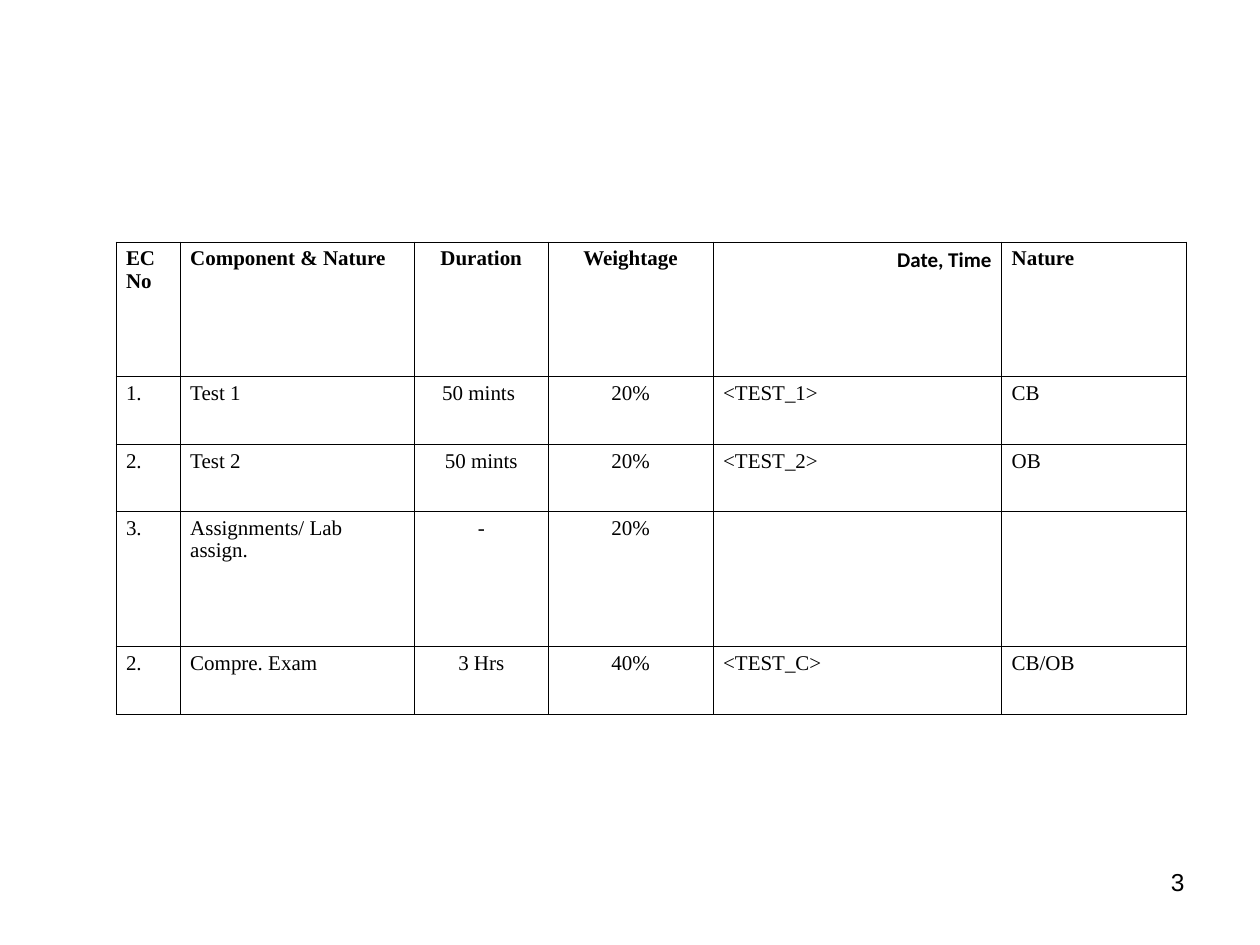
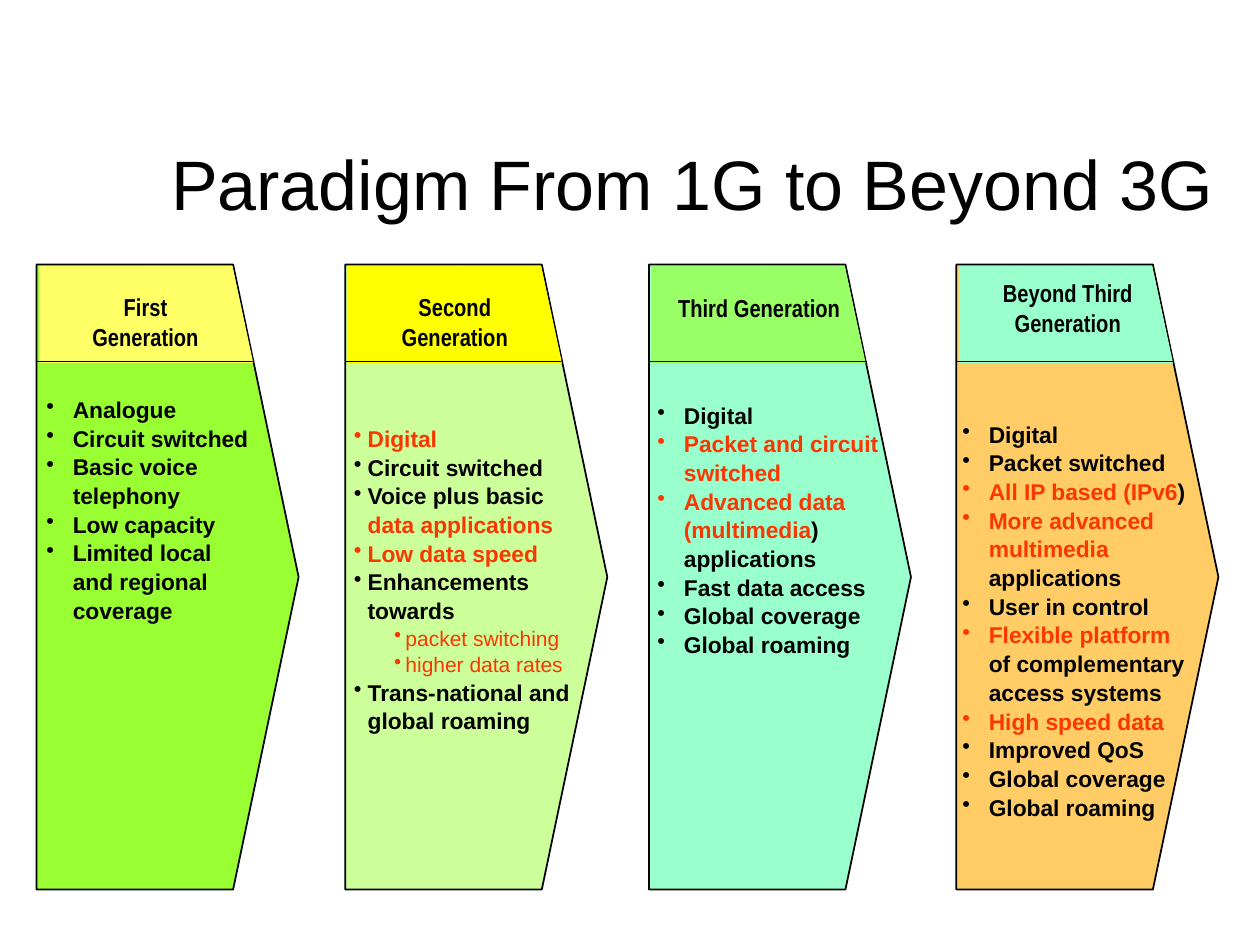
from lxml import etree
from pptx import Presentation
from pptx.dml.color import RGBColor
from pptx.enum.shapes import MSO_CONNECTOR, MSO_SHAPE
from pptx.enum.text import MSO_ANCHOR, PP_ALIGN
from pptx.oxml.ns import qn
from pptx.util import Inches, Pt

LEFT, MID, RIGHT = PP_ALIGN.LEFT, PP_ALIGN.CENTER, PP_ALIGN.RIGHT
TOP, CENTER, BOTTOM = MSO_ANCHOR.TOP, MSO_ANCHOR.MIDDLE, MSO_ANCHOR.BOTTOM
RECT, SLANT = MSO_SHAPE.RECTANGLE, MSO_SHAPE.FLOWCHART_MANUAL_INPUT
STRAIGHT = MSO_CONNECTOR.STRAIGHT

HUES = {
    "black": "000000", "red": "FA3702",
    "lemon": "FFFF66", "yellow": "FFFF00", "lime": "99FF33", "pale": "CCFF99",
    "green": "99FF66", "mint": "99FFCC", "orange": "FFCC66",
}

# Exam table
WIDTHS = [0.51, 1.86, 1.06, 1.31, 2.29, 1.47]
HEIGHTS = [1.07, 0.54, 0.53, 1.07, 0.54]
ALIGNS = [LEFT, LEFT, MID, MID, LEFT, LEFT]
EXAMS = [
    ["EC No", "Component & Nature", "Duration", "Weightage", "Date, Time", "Nature"],
    ["1.", "Test 1", "50 mints ", "20%", "<TEST_1>", "CB"],
    ["2.", "Test 2", "50 mints", "20%", "<TEST_2>", "OB"],
    ["3.", "Assignments/ Lab assign.", "-", "20%", "", ""],
    ["2.", "Compre. Exam", "3 Hrs", "40%", "<TEST_C>", "CB/OB"],
]

# Arrow columns: left edge, head and body hues, head text and its box, list
# and its box, list indent. Boxes are relative to the arrow's top left.
# Text between bars is red; a leading ">" marks a sub-item.
ARROWS = [
    (0.29, "lemon", "lime", "First Generation", (0.15, 0.17, 1.43, 0.34),
     ["Analogue", "Circuit switched", "Basic voice telephony", "Low capacity",
      "Limited local and regional coverage"], (-0.02, 1.02, 1.83, 1.84), 0.21),
    (2.74, "yellow", "pale", "Second Generation", (0.04, 0.17, 1.66, 0.34),
     ["|Digital|", "Circuit switched", "Voice plus basic |data applications|",
      "|Low data speed|", "Enhancements towards", ">|packet switching|",
      ">|higher data rates|", "Trans-national and global roaming"],
     (-0.03, 1.16, 1.92, 2.67), 0.11),
    (5.15, "green", "mint", "Third Generation", (0.13, 0.18, 1.49, 0.34),
     ["Digital", "|Packet and circuit switched|",
      "|Advanced data (multimedia|) applications", "Fast data access",
      "Global coverage", "Global roaming"], (-0.03, 1.07, 2, 2.06), 0.21),
    (7.59, "mint", "orange", "Beyond Third\nGeneration", (0.27, 0.06, 1.23, 0.57),
     ["Digital", "Packet switched", "|All IP based (IPv6|)",
      "|More advanced multimedia| applications", "User in control",
      "|Flexible platform| of complementary access systems",
      "|High speed data|", "Improved QoS", "Global coverage", "Global roaming"],
     (-0.05, 1.25, 2, 3.14), 0.21),
]


def color(name):
    return RGBColor.from_string(HUES[name])


def style(run, size, face="Arial", bold=False, hue="black"):
    font = run.font
    font.size, font.name, font.bold = Pt(size), face, bold
    font.color.rgb = color(hue)


def add_box(slide, box, anchor=TOP, wrap=True):
    frame = slide.shapes.add_textbox(*map(Inches, box)).text_frame
    frame.word_wrap, frame.vertical_anchor = wrap, anchor
    return frame


def add_text(slide, box, text, size, face="Arial", bold=False, align=LEFT,
             anchor=TOP, wrap=True):
    frame = add_box(slide, box, anchor, wrap)
    frame.text = text
    for para in frame.paragraphs:
        para.alignment = align
        style(para.runs[0], size, face, bold)


def add_edges(cell):
    props = cell._tc.get_or_add_tcPr()
    for side in ("a:lnL", "a:lnR", "a:lnT", "a:lnB"):
        line = etree.SubElement(props, qn(side), w=str(Pt(0.45)))
        fill = etree.SubElement(line, qn("a:solidFill"))
        etree.SubElement(fill, qn("a:srgbClr"), val=HUES["black"])


def fill_cell(cell, text, align, face, bold):
    cell.margin_left = cell.margin_right = Inches(0.08)
    cell.margin_top = cell.margin_bottom = Inches(0.05)
    add_edges(cell)
    cell.fill.background()
    if text:
        cell.text_frame.text = text
        para = cell.text_frame.paragraphs[0]
        para.alignment, para.line_spacing = align, 0.95
        style(para.runs[0], 12, face, bold)


def add_exams(slide, left, top):
    size = len(EXAMS), len(WIDTHS)
    table = slide.shapes.add_table(*size, Inches(left), Inches(top),
                                   Inches(sum(WIDTHS)), Inches(sum(HEIGHTS))).table
    table.first_row = table.horz_banding = False
    for col, width in zip(table.columns, WIDTHS):
        col.width = Inches(width)
    for r, (row, height) in enumerate(zip(EXAMS, HEIGHTS)):
        table.rows[r].height = Inches(height)
        for c, text in enumerate(row):
            date = (r, c) == (0, 4)
            fill_cell(table.cell(r, c), text, RIGHT if date else ALIGNS[c],
                      "Calibri" if date else "Times New Roman", r == 0)


def add_block(slide, kind, box, hue, turn=0):
    shape = slide.shapes.add_shape(kind, *map(Inches, box))
    shape.shadow.inherit = False
    shape.rotation = turn
    shape.fill.solid()
    shape.fill.fore_color.rgb = color(hue)
    shape.line.fill.background()


def add_body(slide, left, top, hue):
    points = [(1.56, 0), (2.08, 2.48), (1.56, 4.96), (0, 4.96)]
    form = slide.shapes.build_freeform(Inches(left), Inches(top))
    form.add_line_segments([(Inches(left + x), Inches(top + y)) for x, y in points])
    shape = form.convert_to_shape()
    shape.shadow.inherit = False
    shape.fill.solid()
    shape.fill.fore_color.rgb = color(hue)
    shape.line.color.rgb = color("black")
    shape.line.width = Pt(1)


def add_rule(slide, left, top, width):
    line = slide.shapes.add_connector(STRAIGHT, Inches(left), Inches(top),
                                      Inches(left + width), Inches(top))
    line.line.color.rgb = color("black")
    line.line.width = Pt(1)
    etree.SubElement(line._element.spPr, qn("a:effectLst"))


def add_item(para, item, indent):
    sub = item.startswith(">")
    parts = item.lstrip(">").split("|")
    left, hang = (0.41, 0.09) if sub else (indent, indent)
    para.level, para.line_spacing = int(sub), 1.05
    # Bullet
    props = para._p.get_or_add_pPr()
    props.set("marL", str(Inches(left)))
    props.set("indent", str(Inches(-hang)))
    tint = etree.SubElement(props, qn("a:buClr"))
    hue = "black" if parts[0] else "red"
    etree.SubElement(tint, qn("a:srgbClr"), val=HUES[hue])
    etree.SubElement(props, qn("a:buChar"), char="•")
    # Every second part is red
    for n, part in enumerate(parts):
        if part:
            run = para.add_run()
            run.text = part
            style(run, 12 if sub else 13, bold=not sub,
                  hue="red" if n % 2 else "black")


def add_list(slide, box, items, indent):
    frame = add_box(slide, box, CENTER)
    for n, item in enumerate(items):
        para = frame.add_paragraph() if n else frame.paragraphs[0]
        add_item(para, item, indent)


def add_arrow(slide, top, left, head, body, label, spot, items, area, indent):
    def place(box):
        return (left + box[0], top + box[1], *box[2:])

    add_body(slide, left, top, body)
    # Head band with a slanted right end
    add_block(slide, SLANT, place((0.92, -0.02, 0.77, 0.83)), head, 90)
    add_block(slide, RECT, place((0.02, 0.01, 0.92, 0.77)), head)
    add_text(slide, place(spot), label, 14, "Arial Narrow", True, MID, wrap=False)
    add_list(slide, place(area), items, indent)
    add_rule(slide, left, top + 0.77, 1.73)


def exam_slide(slide):
    add_exams(slide, 0.92, 1.92)
    add_text(slide, (7.17, 6.83, 2.33, 0.52), "3", 14, align=RIGHT)


def arrow_slide(slide):
    add_text(slide, (1.26, 0.99, 8.52, 0.84), "Paradigm From 1G to Beyond 3G",
             40, anchor=BOTTOM)
    for arrow in ARROWS:
        add_arrow(slide, 2.1, *arrow)


def main():
    deck = Presentation()
    deck.slide_width, deck.slide_height = Inches(10), Inches(7.5)
    for build in (exam_slide, arrow_slide):
        build(deck.slides.add_slide(deck.slide_layouts[6]))
    deck.save("out.pptx")


if __name__ == "__main__":
    main()
